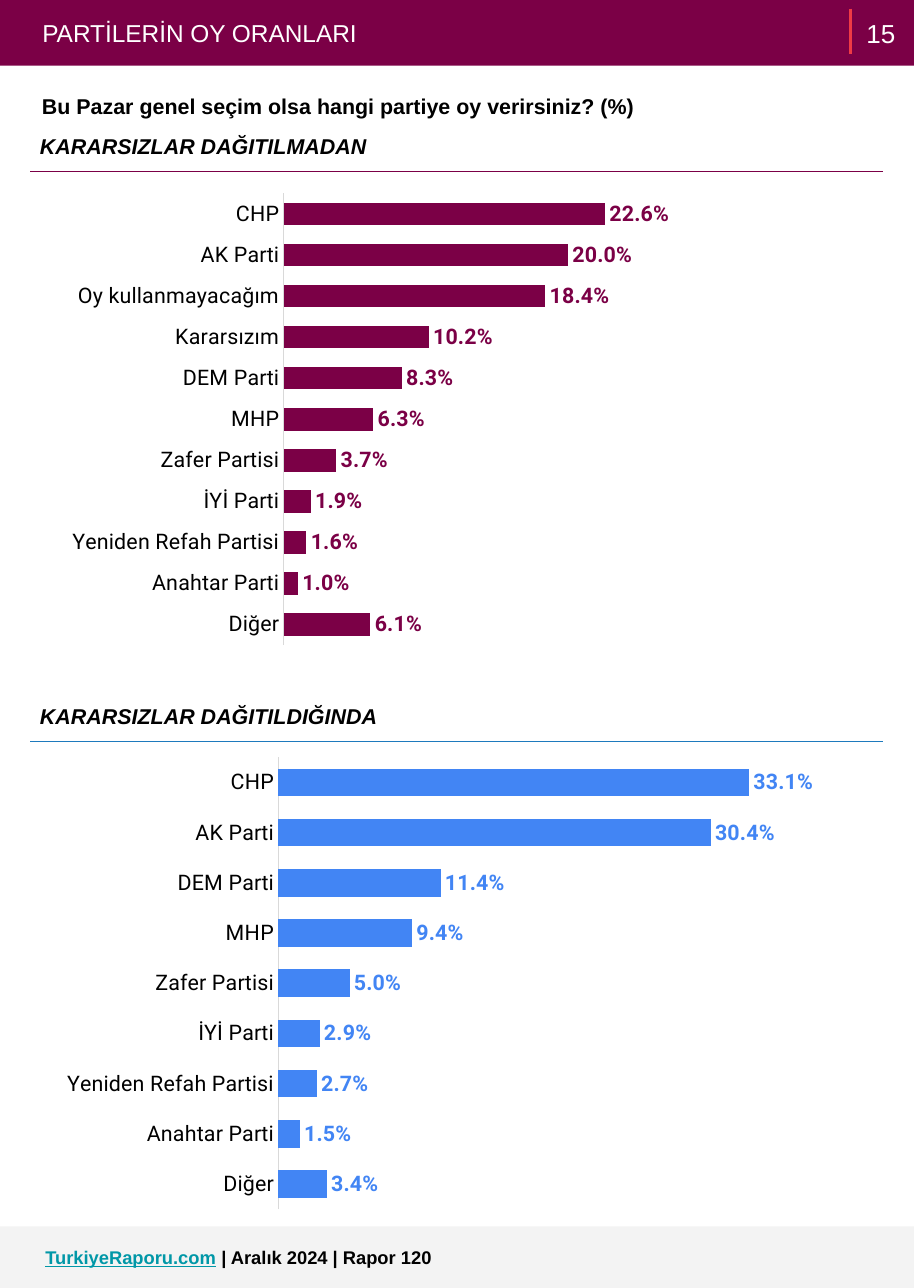
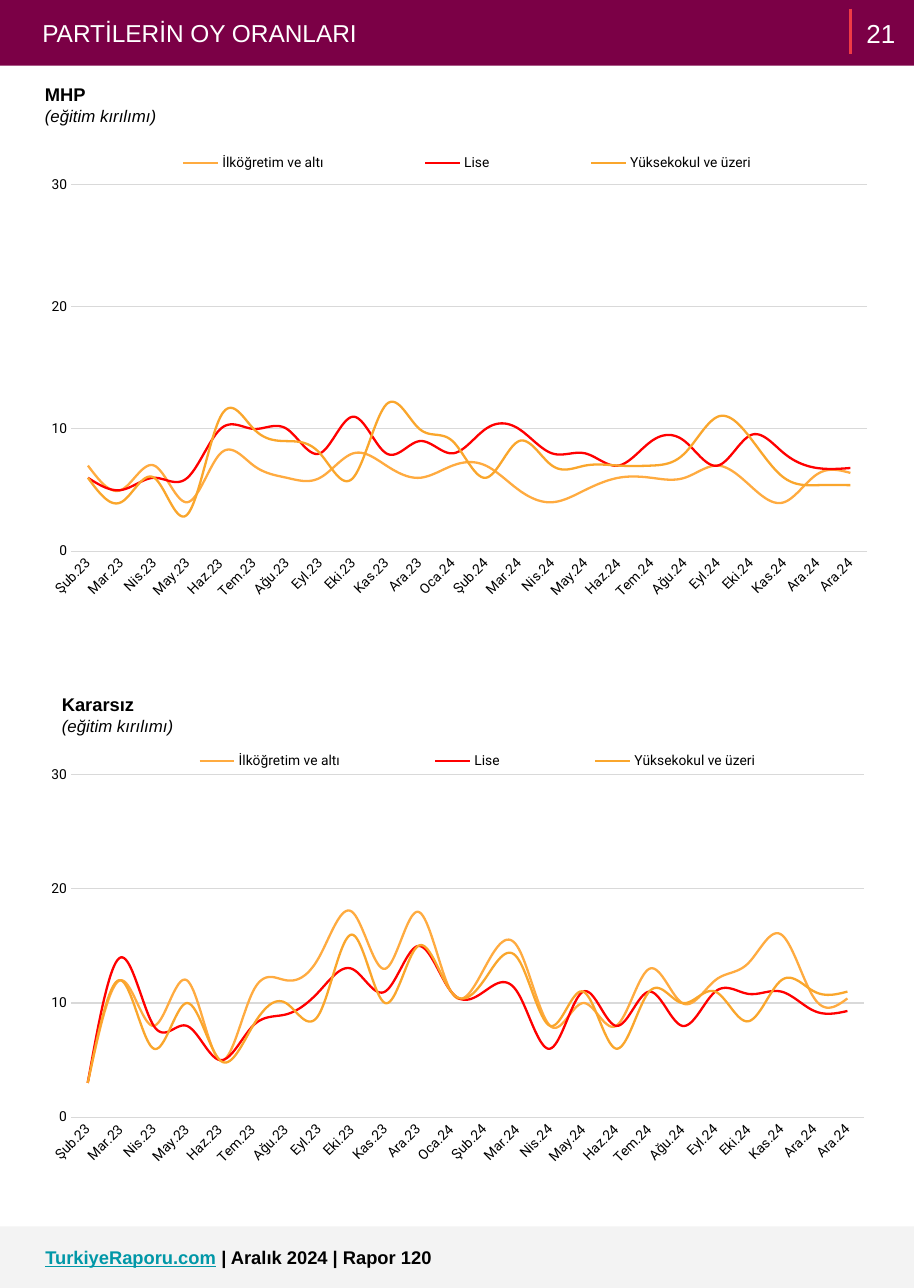
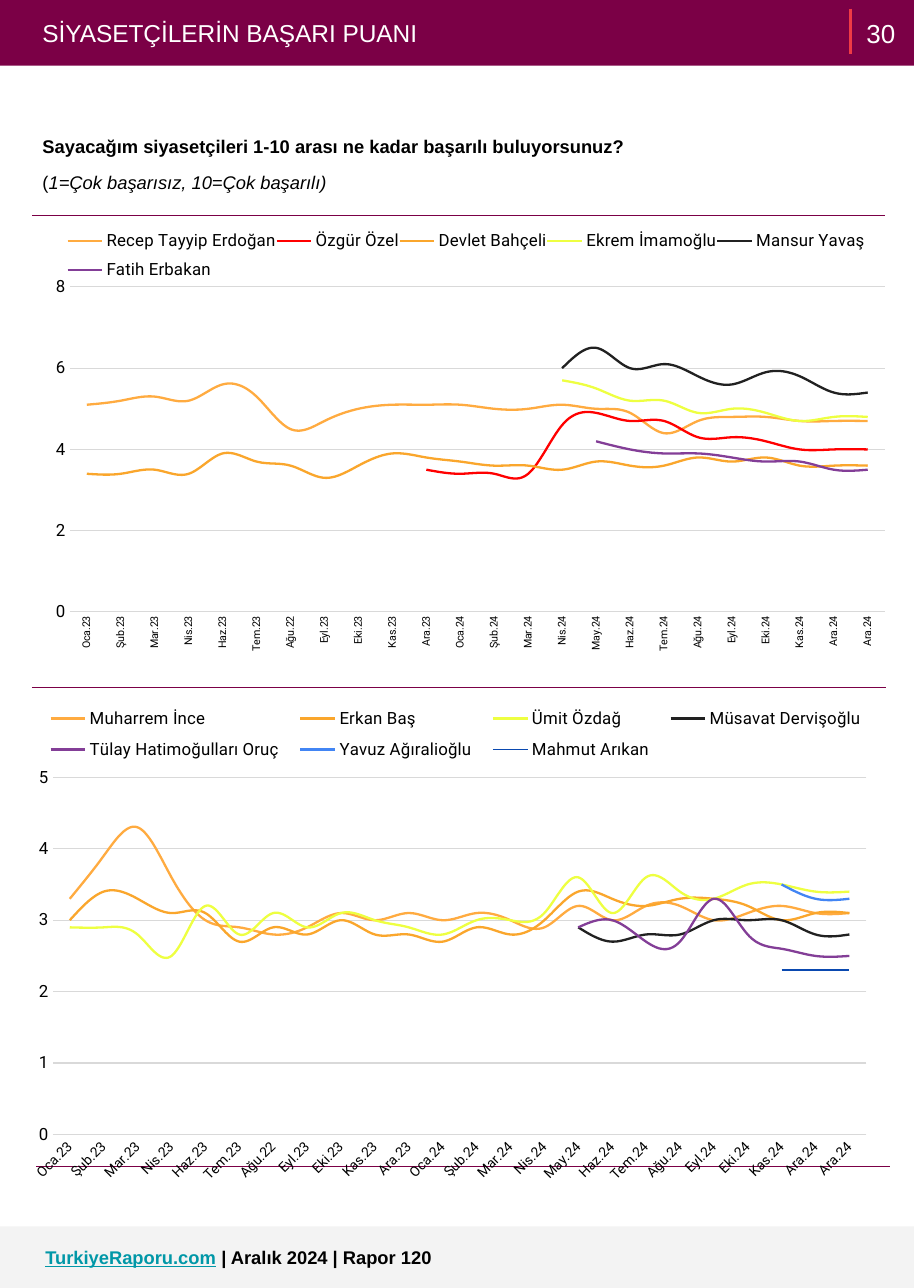
import pptx
import pptx.chart.data
import pptx.dml.color
import pptx.enum.chart
import pptx.enum.shapes
import pptx.enum.text
import pptx.oxml
import pptx.oxml.ns
import pptx.util

COLUMNS, ROWS = 83, 117
CELL = 91440
PLUM, CORAL, PALE, TEAL, BLUE = "7B0046", "EF3B45", "F3F3F3", "0097A7", "4285F4"
BLACK, WHITE, RULE_GREY = "000000", "FFFFFF", "D9D9D9"
APRICOT, RED, ORANGE, YELLOW = "FFAB40", "FF0000", "FAA62C", "EEFF41"
CHARCOAL, PURPLE, NAVY = "212121", "833E97", "0A49B0"
BODY, CHART_FONT = "Arial", "Roboto"

POLL_MONTHS = (
    "Şub.23 Mar.23 Nis.23 May.23 Haz.23 Tem.23 Ağu.23 Eyl.23 Eki.23 Kas.23 Ara.23 Oca.24 "
    "Şub.24 Mar.24 Nis.24 May.24 Haz.24 Tem.24 Ağu.24 Eyl.24 Eki.24 Kas.24 Ara.24 Ara.24"
).split()
RATING_MONTHS = ["Oca.23", *POLL_MONTHS[:3], "Haz.23", "Tem.23", "Ağu.22", *POLL_MONTHS[7:]]

BEFORE_SHARING = {
    "CHP": 0.226, "AK Parti": 0.2, "Oy kullanmayacağım": 0.184, "Kararsızım": 0.102,
    "DEM Parti": 0.083, "MHP": 0.063, "Zafer Partisi": 0.037, "İYİ Parti": 0.019,
    "Yeniden Refah Partisi": 0.016, "Anahtar Parti": 0.01, "Diğer": 0.061,
}
AFTER_SHARING = {
    "CHP": 0.331, "AK Parti": 0.304, "DEM Parti": 0.114, "MHP": 0.094, "Zafer Partisi": 0.05,
    "İYİ Parti": 0.029, "Yeniden Refah Partisi": 0.027, "Anahtar Parti": 0.015, "Diğer": 0.034,
}
SCHOOLING = [("İlköğretim ve altı", APRICOT), ("Lise", RED), ("Yüksekokul ve üzeri", ORANGE)]
MHP_VOTES = [
    [7, 5, 7, 4, 8, 7, 6, 6, 8, 7, 6, 7, 7, 5, 4, 5, 6, 6, 6, 7, 5.3, 4, 6.3, 6.4],
    [6, 5, 6, 6, 10, 10, 10, 8, 11, 8, 9, 8, 10, 10, 8, 8, 7, 9, 9, 7, 9.5, 8, 6.8, 6.8],
    [6, 4, 6, 3, 11, 10, 9, 8, 6, 12, 10, 9, 6, 9, 7, 7, 7, 7, 8, 11, 9.2, 6, 5.4, 5.4],
]
UNDECIDED_VOTES = [
    [3, 12, 8, 12, 5, 11, 12, 14, 18, 13, 18, 11, 13, 15, 8, 10, 8, 13, 10, 12, 13.5, 16, 10.4, 10.4],
    [3, 14, 8, 8, 5, 8, 9, 11, 13, 11, 15, 11, 11, 11, 6, 11, 8, 11, 8, 11, 10.8, 11, 9.3, 9.3],
    [3, 12, 6, 10, 5, 8, 10, 9, 16, 10, 15, 11, 12, 14, 8, 11, 6, 11, 10, 11, 8.4, 12, 11, 11],
]
LEADERS = [
    ("Recep Tayyip Erdoğan", APRICOT, [5.1, 5.2, 5.3, 5.2, 5.6, 5.3, 4.5, 4.7, 5, 5.1, 5.1, 5.1,
                                       5, 5, 5.1, 5, 4.9, 4.4, 4.7, 4.8, 4.8, 4.7, 4.7, 4.7]),
    ("Özgür Özel", RED, [3.5, 3.4, 3.4, 3.4, 4.6, 4.9, 4.7, 4.7, 4.3, 4.3, 4.2, 4, 4, 4]),
    ("Devlet Bahçeli", ORANGE, [3.4, 3.4, 3.5, 3.4, 3.9, 3.7, 3.6, 3.3, 3.6, 3.9, 3.8, 3.7,
                                3.6, 3.6, 3.5, 3.7, 3.6, 3.6, 3.8, 3.7, 3.8, 3.6, 3.6, 3.6]),
    ("Ekrem İmamoğlu", YELLOW, [5.7, 5.5, 5.2, 5.2, 4.9, 5, 4.9, 4.7, 4.8, 4.8]),
    ("Mansur Yavaş", CHARCOAL, [6, 6.5, 6, 6.1, 5.8, 5.6, 5.9, 5.8, 5.4, 5.4]),
    ("Fatih Erbakan", PURPLE, [4.2, 4, 3.9, 3.9, 3.8, 3.7, 3.7, 3.5, 3.5]),
]
CHALLENGERS = [
    ("Muharrem İnce", APRICOT, [3.3, 3.9, 4.3, 3.6, 3, 2.9, 2.8, 2.9, 3.1, 3, 3.1, 3,
                                3.1, 3, 2.9, 3.2, 3, 3.2, 3.2, 3, 3.1, 3.2, 3.1, 3.1]),
    ("Erkan Baş", ORANGE, [3, 3.4, 3.3, 3.1, 3.1, 2.7, 2.9, 2.8, 3, 2.8, 2.8, 2.7,
                           2.9, 2.8, 3, 3.4, 3.3, 3.2, 3.3, 3.3, 3.2, 3, 3.1, 3.1]),
    ("Ümit Özdağ", YELLOW, [2.9, 2.9, 2.8, 2.5, 3.2, 2.8, 3.1, 2.9, 3.1, 3, 2.9, 2.8,
                            3, 3, 3.1, 3.6, 3.1, 3.6, 3.4, 3.3, 3.5, 3.5, 3.4, 3.4]),
    ("Müsavat Dervişoğlu", CHARCOAL, [2.9, 2.7, 2.8, 2.8, 3, 3, 3, 2.8, 2.8]),
    ("Tülay Hatimoğulları Oruç", PURPLE, [2.9, 3, 2.7, 2.7, 3.3, 2.8, 2.6, 2.5, 2.5]),
    ("Yavuz Ağıralioğlu", BLUE, [3.5, 3.3, 3.3]),
    ("Mahmut Arıkan", NAVY, [2.3, 2.3, 2.3]),
]


def rgb(hex_code):
    """Turn a hex string into a colour."""
    return pptx.dml.color.RGBColor.from_string(hex_code)


def grid(*cells):
    """Turn grid columns and rows into lengths."""
    return [pptx.util.Emu(round(cell * CELL)) for cell in cells]


def style_font(font, size, color=BLACK, face=BODY, bold=False, italic=False, underline=False):
    """Set every shared property of a font."""
    font.size, font.name = pptx.util.Pt(size), face
    font.bold, font.italic, font.underline = bold, italic, underline
    font.color.rgb = rgb(color)


def style_line(line, color, width=0.75):
    """Set the colour and width of a line."""
    line.color.rgb = rgb(color)
    line.width = pptx.util.Pt(width)


def write(frame, paragraphs, gap=0):
    """Write paragraphs given as lists of (words, font settings)."""
    frame.word_wrap = True
    frame.margin_left = frame.margin_right = frame.margin_top = frame.margin_bottom = CELL
    for index, runs in enumerate(paragraphs):
        paragraph = frame.add_paragraph() if index else frame.paragraphs[0]
        if index and gap:
            paragraph.space_before = pptx.util.Pt(gap)
        for words, settings in runs:
            run = paragraph.add_run()
            run.text = words
            style_font(run.font, **settings)


def add_text(slide, box, paragraphs):
    """Place a text box and return its frame."""
    frame = slide.shapes.add_textbox(*grid(*box)).text_frame
    write(frame, paragraphs)
    return frame


def add_band(slide, box, color):
    """Place a plain full-width band."""
    band = slide.shapes.add_shape(pptx.enum.shapes.MSO_SHAPE.RECTANGLE, *grid(*box))
    band.shadow.inherit = False
    band.fill.solid()
    band.fill.fore_color.rgb = rgb(color)
    band.line.fill.background()


def add_rule(slide, start, end, color, width=0.75):
    """Draw a straight line between two grid points."""
    rule = slide.shapes.add_connector(pptx.enum.shapes.MSO_CONNECTOR.STRAIGHT, *grid(*start, *end))
    style_line(rule.line, color, width)
    rule.element.spPr.append(pptx.oxml.parse_xml(f'<a:effectLst {pptx.oxml.ns.nsdecls("a")}/>'))


def add_page(deck, title, number):
    """Add a slide with the footer, title band and page number."""
    slide = deck.slides.add_slide(deck.slide_layouts[6])
    add_band(slide, (0, 111.4, COLUMNS, ROWS - 111.4), PALE)
    add_text(slide, (3.13, 112.2, 69.6, 4), [[
        ("TurkiyeRaporu.com", dict(size=12, color=TEAL, bold=True, underline=True)),
        (" ", dict(size=12, color=CORAL, bold=True)),
        ("| Aralık 2024 | Rapor 120", dict(size=12, bold=True)),
    ]])
    add_band(slide, (0, 0, COLUMNS, 5.97), PLUM)
    add_rule(slide, (77.25, 0.78), (77.25, 4.9), CORAL, 2.25)
    add_text(slide, (2.86, 0.65, 64.5, 4.7), [[(title, dict(size=16, color=WHITE))]])
    page = add_text(slide, (77.3, -1.5, 5.4, 9), [[(str(number), dict(size=17, color=WHITE))]])
    page.vertical_anchor = pptx.enum.text.MSO_ANCHOR.MIDDLE
    page.paragraphs[0].alignment = pptx.enum.text.PP_ALIGN.CENTER
    return slide


def add_heading(slide, box, paragraphs, underline=None, gap=0):
    """Place a one-cell table as a heading, with an optional bottom border."""
    table = slide.shapes.add_table(1, 1, *grid(*box)).table
    table.first_row = table.horz_banding = False
    cell = table.cell(0, 0)
    cell.fill.background()
    cell.margin_left = cell.margin_right = cell.margin_top = cell.margin_bottom = CELL
    write(cell.text_frame, paragraphs, gap)
    if underline:
        cell.fill._xPr.insert(0, pptx.oxml.parse_xml(
            f'<a:lnB {pptx.oxml.ns.nsdecls("a")} w="9525"><a:solidFill>'
            f'<a:srgbClr val="{underline}"/></a:solidFill></a:lnB>'))


def manual_layout(percents, inner=False):
    """Build a chart layout from left, top, width and height in percent."""
    target = '<c:layoutTarget val="inner"/>' if inner else ""
    modes = '<c:xMode val="edge"/><c:yMode val="edge"/>'
    sizes = "".join(f'<c:{key} val="{value / 100:.4f}"/>' for key, value in zip("xywh", percents))
    return pptx.oxml.parse_xml(
        f'<c:layout {pptx.oxml.ns.nsdecls("c")}><c:manualLayout>{target}{modes}{sizes}'
        '</c:manualLayout></c:layout>')


def add_plot(slide, box, kind, data, plot_area, size=10, face=BODY):
    """Place a chart with the shared category axis and a fixed plot area."""
    chart = slide.shapes.add_chart(kind, *grid(*box), data).chart
    chart.has_title = chart.has_legend = False
    style_font(chart.font, size, face=face)
    area = chart.element.xpath("c:chart/c:plotArea")[0]
    for layout in area.xpath("c:layout"):
        area.remove(layout)
    area.insert(0, manual_layout(plot_area, inner=True))
    for axis in (chart.category_axis, chart.value_axis):
        axis.major_tick_mark = axis.minor_tick_mark = pptx.enum.chart.XL_TICK_MARK.NONE
        axis.has_major_gridlines = False
    style_line(chart.category_axis.format.line, RULE_GREY)
    return chart


def add_vote_bars(slide, box, votes, color):
    """Place a bar chart of vote shares."""
    data = pptx.chart.data.CategoryChartData(number_format="0.0%")
    data.categories = list(votes)
    data.add_series("Series 1", list(votes.values()))
    chart = add_plot(slide, box, pptx.enum.chart.XL_CHART_TYPE.BAR_CLUSTERED, data,
                     (29.2, 0.3, 67, 99.7), 13)
    style_font(chart.category_axis.tick_labels.font, 14, face=CHART_FONT)
    chart.category_axis.reverse_order = True
    shares_axis = chart.value_axis
    shares_axis.minimum_scale, shares_axis.maximum_scale = 0, 0.4
    shares_axis.tick_labels.number_format = "0.0%"
    shares_axis.tick_labels.number_format_is_linked = False
    shares_axis.visible = False
    plot = chart.plots[0]
    plot.gap_width = 82
    plot.vary_by_categories = False
    bars = plot.series[0].format.fill
    bars.solid()
    bars.fore_color.rgb = rgb(color)
    labels = plot.series[0].data_labels
    labels.show_value = True
    labels.number_format, labels.number_format_is_linked = "0.0%", False
    labels.position = pptx.enum.chart.XL_LABEL_POSITION.OUTSIDE_END
    style_font(labels.font, 14, color, CHART_FONT, bold=True)


def add_trend(slide, box, months, trends, top, step, plot_area, legend_area,
              month_size=9, value_size=9, legend_size=9, turn=-45, face=BODY):
    """Place a line chart; short trends end at the last month."""
    data = pptx.chart.data.CategoryChartData()
    data.categories = months
    for name, _, values in trends:
        data.add_series(name, [None] * (len(months) - len(values)) + values)
    chart = add_plot(slide, box, pptx.enum.chart.XL_CHART_TYPE.LINE, data, plot_area, face=face)
    chart.plots[0].vary_by_categories = False
    for series, (_, color, values) in zip(chart.plots[0].series, trends):
        series.smooth = len(values) > 3
        style_line(series.format.line, color, 1.15 if color == NAVY else 1.5)
    style_font(chart.category_axis.tick_labels.font, month_size, face=CHART_FONT)
    chart.element.xpath(".//c:catAx/c:txPr/a:bodyPr")[0].set("rot", str(turn * 60000))
    values_axis = chart.value_axis
    style_font(values_axis.tick_labels.font, value_size, face=CHART_FONT)
    values_axis.minimum_scale, values_axis.maximum_scale = 0, top
    values_axis.major_unit = step
    values_axis.format.line.fill.background()
    values_axis.has_major_gridlines = True
    style_line(values_axis.major_gridlines.format.line, RULE_GREY)
    chart.has_legend = True
    legend = chart.legend
    legend.position = pptx.enum.chart.XL_LEGEND_POSITION.BOTTOM
    legend.include_in_layout = False
    style_font(legend.font, legend_size, face=CHART_FONT)
    holder = chart.element.xpath("c:chart/c:legend")[0]
    for layout in holder.xpath("c:layout"):
        holder.remove(layout)
    holder.xpath("c:legendPos")[0].addnext(manual_layout(legend_area))


def build_vote_slide(deck):
    """Build the slide of vote shares before and after sharing the undecided."""
    slide = add_page(deck, "PARTİLERİN OY ORANLARI", 15)
    question = [("Bu Pazar genel seçim olsa hangi partiye oy verirsiniz? (%)",
                 dict(size=14, bold=True))]
    headings = [
        ((2.8, 7.65), [], None),
        ((2.63, 11.26), [("KARARSIZLAR DAĞITILMADAN", dict(size=14, bold=True, italic=True))], PLUM),
        ((2.8, 7.65), [question[0]], None),
        ((2.63, 63.05), [("KARARSIZLAR DAĞITILDIĞINDA", dict(size=14, bold=True, italic=True))],
         "1E7ABD"),
    ]
    for corner, runs, underline in headings:
        add_heading(slide, (*corner, 77.6, 4.25), [runs], underline)
    add_vote_bars(slide, (2.77, 68.68, 77.1, 41.2), AFTER_SHARING, BLUE)
    add_vote_bars(slide, (3.25, 17.45, 77.1, 41.2), BEFORE_SHARING, PLUM)


def build_schooling_slide(deck):
    """Build the slide of vote trends by schooling."""
    slide = add_page(deck, "PARTİLERİN OY ORANLARI", 21)
    for party, box in (("MHP", (3.1, 6.6, 19.7, 6.8)), ("Kararsız", (4.63, 62, 15.5, 4.2))):
        add_text(slide, box, [[(party, dict(size=12, bold=True))],
                              [("(eğitim kırılımı)", dict(size=11, italic=True))]])
    charts = [
        ((2.85, 12.54, 77.2, 48), MHP_VOTES, (4.7, 8.8, 93.6, 69.4), (6.45, 2, 89.6, 5.5)),
        ((2.85, 67.13, 77, 44), UNDECIDED_VOTES, (4.7, 7.4, 93.5, 70.7), (9.1, 1.65, 87, 5.8)),
    ]
    for box, votes, plot_area, legend_area in charts:
        trends = [(*level, values) for level, values in zip(SCHOOLING, votes)]
        add_trend(slide, box, POLL_MONTHS, trends, 30, 10, plot_area, legend_area,
                  face=CHART_FONT)


def build_rating_slide(deck):
    """Build the slide of politicians' ratings."""
    slide = add_page(deck, "SİYASETÇİLERİN BAŞARI PUANI", 30)
    add_rule(slide, (3.3, 106), (80.8, 106), PLUM)
    add_rule(slide, (2.9, 62.44), (80.5, 62.44), PLUM)
    add_heading(slide, (2.86, 11.45, 77.6, 8.1), [
        [("Sayacağım siyasetçileri 1-10 arası ne kadar başarılı buluyorsunuz?",
          dict(size=12, bold=True))],
        [("(", dict(size=12)), ("1=Çok başarısız, 10=Çok başarılı)", dict(size=12, italic=True))],
    ], PLUM, gap=10)
    add_trend(slide, (3.1, 19.4, 77.3, 43.3), RATING_MONTHS, LEADERS, 8, 2,
              (4.2, 15.4, 95.8, 68.2), (3.85, 1.8, 93.9, 14),
              month_size=7, value_size=11, legend_size=11, turn=-90)
    add_trend(slide, (2.87, 62.84, 77.2, 48.3), RATING_MONTHS, CHALLENGERS, 5, 1,
              (2.5, 16.1, 95.7, 67.2), (0.4, 1.1, 99, 13.7), value_size=11, legend_size=11)


def main():
    """Build and save the deck."""
    deck = pptx.Presentation()
    deck.slide_width, deck.slide_height = grid(COLUMNS, ROWS)
    build_vote_slide(deck)
    build_schooling_slide(deck)
    build_rating_slide(deck)
    deck.save("out.pptx")


if __name__ == "__main__":
    main()
